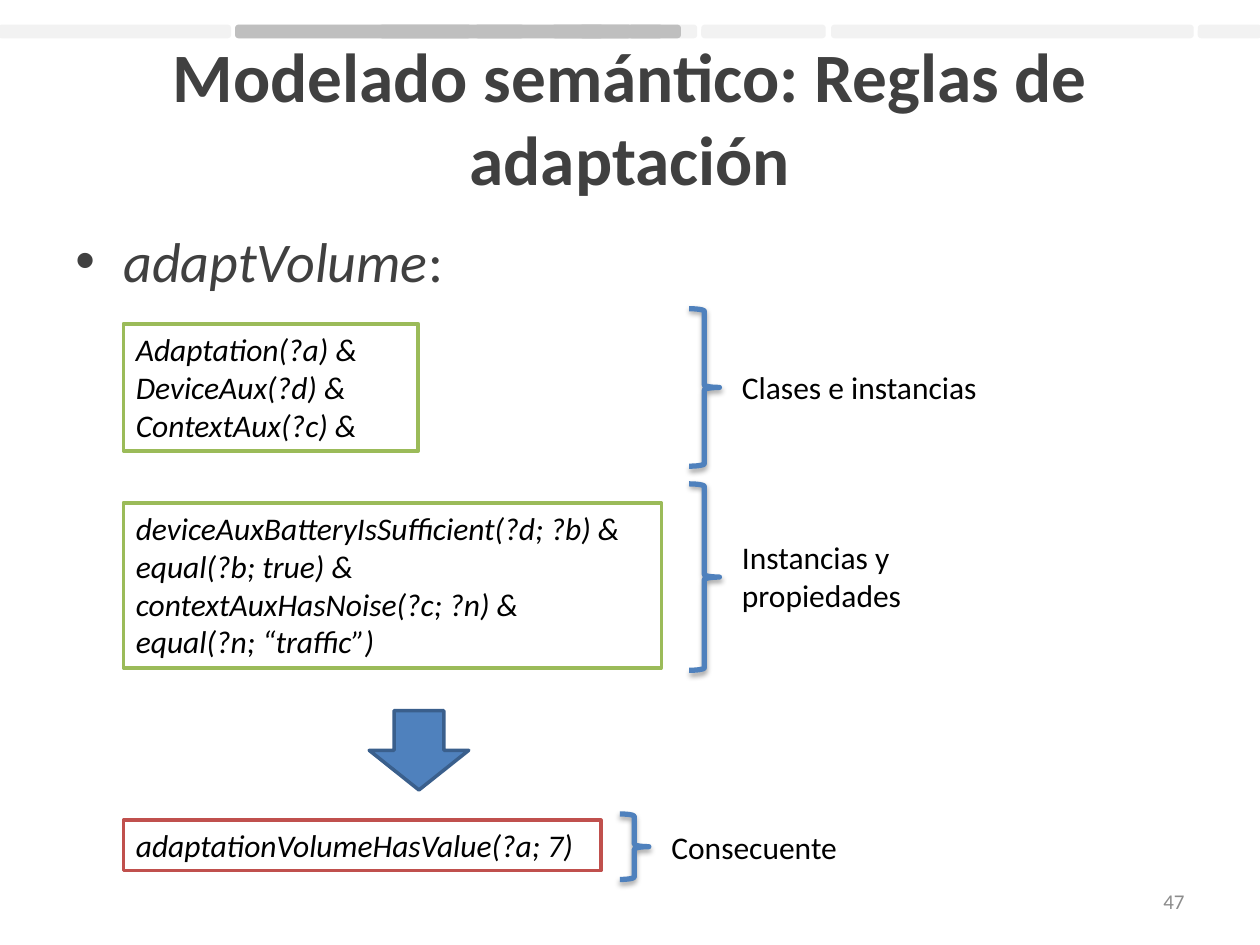
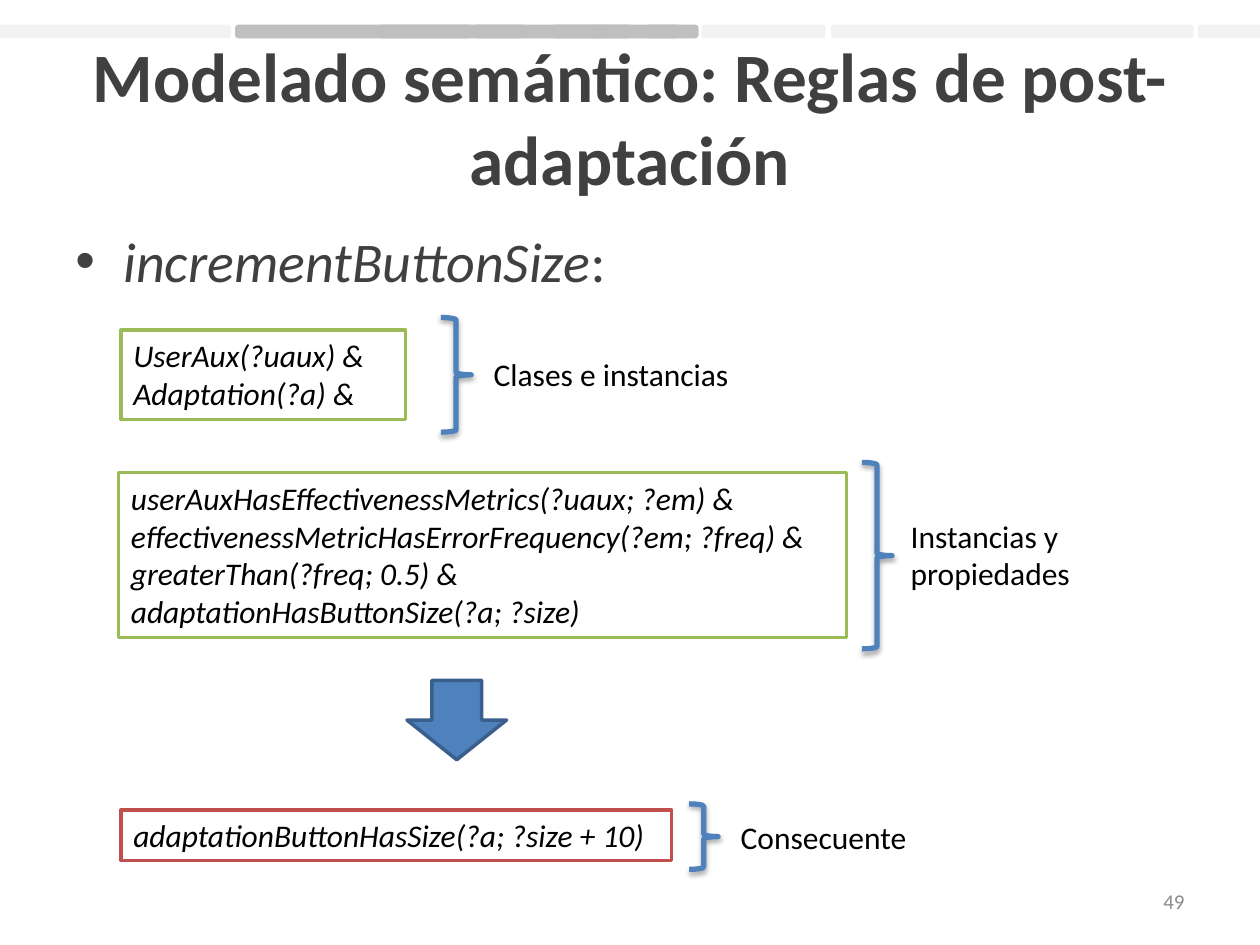
from dataclasses import dataclass
from typing import NamedTuple

from lxml import etree
from pptx import Presentation
from pptx.dml.color import RGBColor
from pptx.enum.shapes import MSO_SHAPE as Preset
from pptx.enum.text import MSO_ANCHOR as Anchor
from pptx.enum.text import MSO_AUTO_SIZE as AutoSize
from pptx.enum.text import PP_ALIGN as Align
from pptx.oxml.ns import qn
from pptx.shapes.autoshape import Shape
from pptx.slide import Slide
from pptx.text.text import TextFrame, _Paragraph as Paragraph
from pptx.util import Emu, Pt

EMU_PER_PX = 9144  # 100 px to the inch
FONT = "Calibri"

WHITE = RGBColor(0xFF, 0xFF, 0xFF)
BLACK = RGBColor(0x00, 0x00, 0x00)
HEADING = RGBColor(0x40, 0x40, 0x40)
PAGE_NUMBER = RGBColor(0x8C, 0x8C, 0x8C)
TRACK = RGBColor(0xF2, 0xF2, 0xF2)
PROGRESS = RGBColor(0xBF, 0xBF, 0xBF)
GREEN = RGBColor(0x9B, 0xBB, 0x59)
RED = RGBColor(0xC0, 0x50, 0x4D)
BLUE = RGBColor(0x4F, 0x81, 0xBD)
DARK_BLUE = RGBColor(0x3A, 0x5F, 0x8C)


class Rect(NamedTuple):
    left: int
    top: int
    width: int
    height: int


class Segment(NamedTuple):
    left: int
    width: int


@dataclass(frozen=True)
class Clause:
    """Part of a rule: a framed box, the brace beside it and the brace's label."""
    box: Rect
    lines: list[str]
    brace: Rect
    label: str
    label_width: int
    label_height: int = 40
    label_offset: int = 32
    outline: RGBColor = GREEN


@dataclass(frozen=True)
class RulePage:
    title: str
    rule: str
    number: str
    current: list[Segment]
    arrow: Rect
    clauses: list[Clause]


BAND_TOP, BAND_HEIGHT = 21, 8
TRACK_SEGMENTS = [Segment(0, 182), Segment(188, 364), Segment(661, 285),
                  Segment(558, 96), Segment(952, 48)]
DONE_SEGMENTS = [Segment(188, 185), Segment(302, 113), Segment(378, 100), Segment(439, 61)]
TITLE_AREA = Rect(50, 30, 900, 125)
BODY_AREA = Rect(50, 175, 900, 495)
NUMBER_AREA = Rect(717, 695, 233, 40)

PAGES = [
    RulePage(
        "Modelado semántico: Reglas de adaptación", "adaptVolume", "47",
        [Segment(461, 64), Segment(500, 39)],
        Rect(293, 564, 79, 63),
        [
            Clause(Rect(98, 257, 234, 101),
                   ["Adaptation(?a) &", "DeviceAux(?d) &", "ContextAux(?c) &"],
                   Rect(547, 245, 24, 125), "Clases e instancias", 260),
            Clause(Rect(98, 399, 427, 131),
                   ["deviceAuxBatteryIsSufficient(?d; ?b) &", "equal(?b; true) &",
                    "contextAuxHasNoise(?c; ?n) &", "equal(?n; “traffic”)"],
                   Rect(547, 384, 24, 148), "Instancias y propiedades", 189, 71),
            Clause(Rect(98, 651, 379, 40), ["adaptationVolumeHasValue(?a; 7)"],
                   Rect(492, 646, 23, 52), "Consecuente", 189,
                   label_offset=31, outline=RED),
        ],
    ),
    RulePage(
        "Modelado semántico: Reglas de post-adaptación", "incrementButtonSize", "49",
        [Segment(474, 64), Segment(514, 39)],
        Rect(323, 540, 79, 63),
        [
            Clause(Rect(96, 262, 226, 71), ["UserAux(?uaux) &", "Adaptation(?a) &"],
                   Rect(350, 252, 24, 91), "Clases e instancias", 260),
            Clause(Rect(94, 375, 578, 131),
                   ["userAuxHasEffectivenessMetrics(?uaux; ?em) & "
                    "effectivenessMetricHasErrorFrequency(?em; ?freq) &",
                    "greaterThan(?freq; 0.5) &", "adaptationHasButtonSize(?a; ?size)"],
                   Rect(684, 367, 24, 148), "Instancias y propiedades", 150, 71,
                   label_offset=29),
            Clause(Rect(96, 643, 437, 40), ["adaptationButtonHasSize(?a; ?size + 10)"],
                   Rect(547, 638, 23, 52), "Consecuente", 189,
                   label_offset=31, outline=RED),
        ],
    ),
]


def px(length: int) -> Emu:
    return Emu(length * EMU_PER_PX)


def add_run(paragraph: Paragraph, text: str, size: float, color: RGBColor,
            bold: bool = False, italic: bool = False) -> None:
    run = paragraph.add_run()
    run.text = text
    font = run.font
    font.name, font.size, font.bold, font.italic = FONT, Pt(size), bold, italic
    font.color.rgb = color


def add_preset(shapes, preset: Preset, area: Rect, line: RGBColor,
               fill: RGBColor | None = None, weight: float = 2) -> Shape:
    shape = shapes.add_shape(preset, *map(px, area))
    shape.shadow.inherit = False
    if fill is None:
        shape.fill.background()
    else:
        shape.fill.solid()
        shape.fill.fore_color.rgb = fill
    shape.line.color.rgb = line
    shape.line.width = Pt(weight)
    return shape


def add_text_area(slide: Slide, area: Rect, anchor: Anchor = Anchor.TOP) -> TextFrame:
    frame = slide.shapes.add_textbox(*map(px, area)).text_frame
    frame.word_wrap = True
    frame.vertical_anchor = anchor
    return frame


def add_band(shapes, segments: list[Segment], color: RGBColor) -> None:
    for left, width in segments:
        area = Rect(left, BAND_TOP, width, BAND_HEIGHT)
        add_preset(shapes, Preset.ROUNDED_RECTANGLE, area, color, color)


def add_heading(slide: Slide, page: RulePage) -> None:
    """Title, bulleted rule name and page number."""
    title = add_text_area(slide, TITLE_AREA, Anchor.MIDDLE).paragraphs[0]
    title.alignment = Align.CENTER
    add_run(title, page.title, 39.6, HEADING, bold=True)

    rule = add_text_area(slide, BODY_AREA).paragraphs[0]
    rule.alignment = Align.JUSTIFY
    properties = rule._p.get_or_add_pPr()
    properties.set("marL", str(px(38)))
    properties.set("indent", str(px(-38)))
    etree.SubElement(properties, qn("a:buFont"), typeface="Arial")
    etree.SubElement(properties, qn("a:buChar"), char="•")
    add_run(rule, page.rule, 32, HEADING, italic=True)
    add_run(rule, ":", 32, HEADING)

    number = add_text_area(slide, NUMBER_AREA, Anchor.MIDDLE).paragraphs[0]
    number.alignment = Align.RIGHT
    add_run(number, page.number, 12, PAGE_NUMBER)


def add_soft_shadow(shape: Shape) -> None:
    effects = shape._element.spPr.find(qn("a:effectLst"))
    shadow = etree.SubElement(effects, qn("a:outerShdw"), blurRad=str(Pt(3.1)),
                              dist=str(Pt(1.8)), dir="5400000", rotWithShape="0")
    color = etree.SubElement(shadow, qn("a:srgbClr"), val=str(BLACK))
    etree.SubElement(color, qn("a:alpha"), val="35000")


def add_clause(slide: Slide, clause: Clause) -> None:
    box = add_preset(slide.shapes, Preset.RECTANGLE, clause.box, clause.outline, WHITE)
    frame = box.text_frame
    frame.word_wrap = True
    frame.auto_size = AutoSize.SHAPE_TO_FIT_TEXT
    frame.vertical_anchor = Anchor.TOP
    for index, line in enumerate(clause.lines):
        paragraph = frame.add_paragraph() if index else frame.paragraphs[0]
        paragraph.alignment = Align.LEFT
        add_run(paragraph, line, 18, BLACK, italic=True)

    brace = clause.brace
    add_soft_shadow(add_preset(slide.shapes, Preset.RIGHT_BRACE, brace, BLUE, weight=3))

    label_top = brace.top + (brace.height - clause.label_height) // 2
    label = add_text_area(slide, Rect(brace.left + clause.label_offset, label_top,
                                      clause.label_width, clause.label_height))
    label.auto_size = AutoSize.SHAPE_TO_FIT_TEXT
    add_run(label.paragraphs[0], clause.label, 18, BLACK)


def add_page(deck, page: RulePage) -> None:
    slide = deck.slides.add_slide(deck.slide_layouts[6])
    add_band(slide.shapes, TRACK_SEGMENTS, TRACK)
    add_heading(slide, page)
    for clause in page.clauses:
        add_clause(slide, clause)
    add_preset(slide.shapes, Preset.DOWN_ARROW, page.arrow, DARK_BLUE, BLUE)
    for segments in (page.current, DONE_SEGMENTS):
        add_band(slide.shapes.add_group_shape().shapes, segments, PROGRESS)


def main() -> None:
    deck = Presentation()
    deck.slide_width, deck.slide_height = px(1000), px(750)
    for page in PAGES:
        add_page(deck, page)
    deck.save("out.pptx")


if __name__ == "__main__":
    main()
